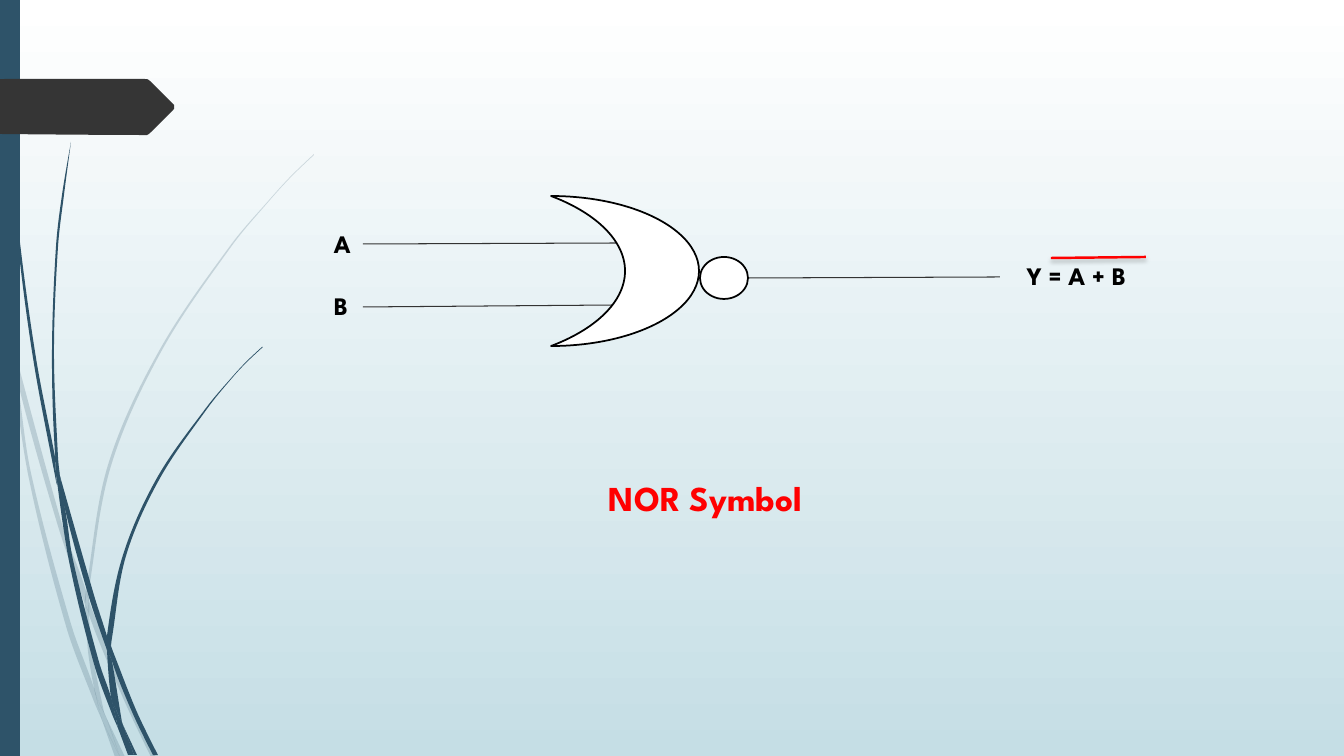
from dataclasses import dataclass
from math import hypot
from lxml.etree import SubElement
from pptx import Presentation
from pptx.dml.color import RGBColor
from pptx.enum.shapes import MSO_CONNECTOR, MSO_SHAPE
from pptx.oxml.ns import qn
from pptx.util import Emu, Pt

PX = 914400 / 100.8
BEND = 0.8  # cosine below which a point is a sharp corner
Point = tuple[float, float]


@dataclass(frozen=True)
class Theme:
    navy: str = "2E5369"
    slate: str = "353535"
    wire: str = "333333"
    ink: str = "000000"
    white: str = "FFFFFF"
    red: str = "FF0000"
    sky: str = "C5DEE5"
    font: str = "League Spartan"
    label: int = 18
    caption: int = 25
    thin: float = 0.75
    edge: float = 1.25
    bar: float = 1.75
    faint: int = 20


@dataclass(frozen=True)
class Block:
    kind: MSO_SHAPE
    box: tuple[int, int, int, int]
    fill: str
    line: str | None = None
    turn: int = 0


@dataclass(frozen=True)
class Wire:
    start: tuple[int, int]
    end: tuple[int, int]
    color: str
    width: float
    shadow: bool = False


@dataclass(frozen=True)
class Label:
    text: str
    box: tuple[int, int, int, int]
    size: int
    color: str


THEME = Theme()

# Outlines of the grass, pale blades first
PALE = [
    [(11, 353), (9, 325), (0, 284), (0, 301), (10, 347)],
    [(58, 526), (85, 604), (86, 591), (62, 524), (14, 348), (17, 379)],
    [(93, 612), (89, 601), (89, 615), (124, 700), (151, 757), (156, 757), (128, 698)],
    [(120, 757), (125, 757), (106, 717)],
    [(94, 688), (71, 624), (31, 473), (17, 379), (11, 353), (28, 474), (66, 626),
     (93, 699), (102, 720), (100, 713)],
    [(85, 604), (88, 651), (94, 688), (97, 698), (106, 717), (104, 712), (92, 651),
     (89, 615), (89, 613)],
    [(89, 589), (111, 466), (161, 352), (231, 247), (270, 200), (292, 176), (314, 155),
     (314, 154), (291, 176), (270, 199), (230, 246), (159, 351), (108, 465), (86, 589),
     (86, 591), (89, 601)],
    [(102, 720), (115, 757), (120, 757)],
    [(89, 613), (89, 615), (89, 601), (86, 591), (85, 604)],
    [(97, 698), (94, 688), (100, 713), (102, 720), (120, 757), (106, 717)],
]
DARK = [
    [(7, 111), (17, 235), (33, 358), (56, 481), (57, 485), (55, 461), (55, 457),
     (36, 358), (19, 234), (8, 110), (5, 48), (4, 0), (3, 0), (4, 48)],
    [(89, 597), (107, 650), (107, 638), (107, 636), (94, 595), (60, 476), (65, 509)],
    [(114, 654), (111, 646), (112, 661), (133, 714), (153, 755), (158, 755), (137, 712)],
    [(111, 697), (99, 662), (73, 560), (65, 509), (57, 481), (69, 561), (94, 664),
     (112, 714), (118, 728), (117, 723)],
    [(60, 476), (58, 457), (54, 352), (58, 247), (64, 195), (71, 142), (62, 195),
     (56, 247), (52, 352), (55, 453)],
    [(134, 755), (137, 755), (123, 725)],
    [(57, 481), (65, 509), (60, 476), (55, 453), (55, 457)],
    [(112, 638), (126, 556), (159, 480), (207, 409), (233, 377), (247, 362), (263, 347),
     (262, 347), (247, 361), (233, 376), (206, 408), (157, 478), (123, 555), (107, 636),
     (111, 646)],
    [(118, 728), (128, 755), (132, 755)],
    [(107, 650), (111, 697), (117, 712), (123, 725), (122, 722), (112, 661), (110, 656)],
    [(107, 650), (110, 656), (112, 661), (111, 646), (107, 636), (107, 638)],
    [(117, 712), (111, 697), (117, 723), (118, 728), (131, 755), (134, 755), (123, 725)],
]
TAG = [(174, 109), (149, 134), (147, 135), (0, 134), (0, 79), (147, 79), (149, 80), (174, 105)]

SIDE = Block(MSO_SHAPE.RECTANGLE, (0, 0, 20, 756), THEME.navy)
MOON = Block(MSO_SHAPE.MOON, (551, 196, 148, 150), THEME.white, THEME.ink, 180)
BUBBLE = Block(MSO_SHAPE.OVAL, (700, 257, 48, 42), THEME.white, THEME.ink)

INPUTS = [
    Wire((363, 244), (616, 243), THEME.wire, THEME.thin),
    Wire((363, 307), (616, 305), THEME.wire, THEME.thin),
]
OUTPUT = Wire((747, 278), (1000, 277), THEME.wire, THEME.thin)
BAR = Wire((1051, 258), (1146, 257), THEME.red, THEME.bar, True)

LABELS = [
    Label("A", (324, 223, 39, 40), THEME.label, THEME.ink),
    Label("B", (324, 285, 35, 40), THEME.label, THEME.ink),
    Label("Y = A + B", (1017, 255, 128, 40), THEME.label, THEME.ink),
    Label("NOR Symbol", (599, 472, 233, 52), THEME.caption, THEME.red),
]


def emu(px: float) -> Emu:
    return Emu(round(px * PX))


def rgb(code: str) -> RGBColor:
    return RGBColor.from_string(code)


def slope(a: Point, b: Point, c: Point) -> Point:
    """Give the direction of the curve at b, or none at a corner."""
    (ux, uy), (vx, vy) = (b[0] - a[0], b[1] - a[1]), (c[0] - b[0], c[1] - b[1])
    if ux * vx + uy * vy < BEND * hypot(ux, uy) * hypot(vx, vy):
        return 0, 0
    size = hypot(ux + vx, uy + vy)
    return (ux + vx) / size, (uy + vy) / size


def draw_outline(slide, points: list[Point], fill: str, alpha: int = 100) -> None:
    ring = points + points[:1]
    path = [(emu(x), emu(y)) for x, y in ring]
    pen = slide.shapes.build_freeform(*path[0])
    pen.add_line_segments(path[1:], close=True)
    shape = pen.convert_to_shape()
    paint(shape, fill, alpha=alpha)

    # Bend the straight edges into curves
    slopes = [slope(*trio) for trio in zip(points[-1:] + points, points, ring[1:])]
    slopes.append(slopes[0])
    edges = list(shape._element.iter(qn("a:lnTo")))
    for edge, a, b, s, t in zip(edges, ring, ring[1:], slopes, slopes[1:]):
        reach = hypot(b[0] - a[0], b[1] - a[1]) / 3
        edge.tag = qn("a:cubicBezTo")
        for i, (p, d, sign) in enumerate(((a, s, reach), (b, t, -reach))):
            x, y = (emu(v + sign * w) for v, w in zip(p, d))
            spot = SubElement(edge, qn("a:pt"), x=str(x - shape.left), y=str(y - shape.top))
            edge.insert(i, spot)


def paint(shape, fill: str, line: str | None = None, alpha: int = 100) -> None:
    shape.shadow.inherit = False
    shape.fill.solid()
    shape.fill.fore_color.rgb = rgb(fill)
    if alpha < 100:
        color = shape._element.spPr.find(qn("a:solidFill"))[0]
        SubElement(color, qn("a:alpha"), val=str(alpha * 1000))
    if line:
        shape.line.color.rgb = rgb(line)
        shape.line.width = Pt(THEME.edge)
    else:
        shape.line.fill.background()


def draw_block(slide, block: Block) -> None:
    shape = slide.shapes.add_shape(block.kind, *map(emu, block.box))
    shape.rotation = block.turn
    paint(shape, block.fill, block.line)


def draw_wire(slide, wire: Wire) -> None:
    line = slide.shapes.add_connector(MSO_CONNECTOR.STRAIGHT, *map(emu, wire.start + wire.end))
    line.line.color.rgb = rgb(wire.color)
    line.line.width = Pt(wire.width)
    effects = SubElement(line._element.spPr, qn("a:effectLst"))
    if wire.shadow:
        cast = SubElement(effects, qn("a:outerShdw"), blurRad=str(Pt(3)),
                          dist=str(Pt(2)), dir="5400000", rotWithShape="0")
        color = SubElement(cast, qn("a:srgbClr"), val=THEME.ink)
        SubElement(color, qn("a:alpha"), val="25000")


def draw_label(slide, label: Label) -> None:
    frame = slide.shapes.add_textbox(*map(emu, label.box)).text_frame
    frame.word_wrap = False
    frame.text = label.text
    font = frame.paragraphs[0].runs[0].font
    font.name, font.size, font.bold = THEME.font, Pt(label.size), True
    font.color.rgb = rgb(label.color)


def main() -> None:
    deck = Presentation()
    deck.slide_width, deck.slide_height = emu(1344), emu(756)
    slide = deck.slides.add_slide(deck.slide_layouts[6])
    # Background
    back = slide.background.fill
    back.gradient()
    back.gradient_angle = 270
    for stop, color in zip(back.gradient_stops, (THEME.white, THEME.sky)):
        stop.color.rgb = rgb(color)
    # Side decoration
    for blades, alpha in ((PALE, THEME.faint), (DARK, 100)):
        for blade in blades:
            draw_outline(slide, blade, THEME.navy, alpha)
    draw_block(slide, SIDE)
    draw_outline(slide, TAG, THEME.slate)
    # NOR gate
    for wire in INPUTS:
        draw_wire(slide, wire)
    draw_block(slide, MOON)
    draw_wire(slide, OUTPUT)
    for label in LABELS:
        draw_label(slide, label)
    draw_block(slide, BUBBLE)
    draw_wire(slide, BAR)
    deck.save("out.pptx")


if __name__ == "__main__":
    main()
